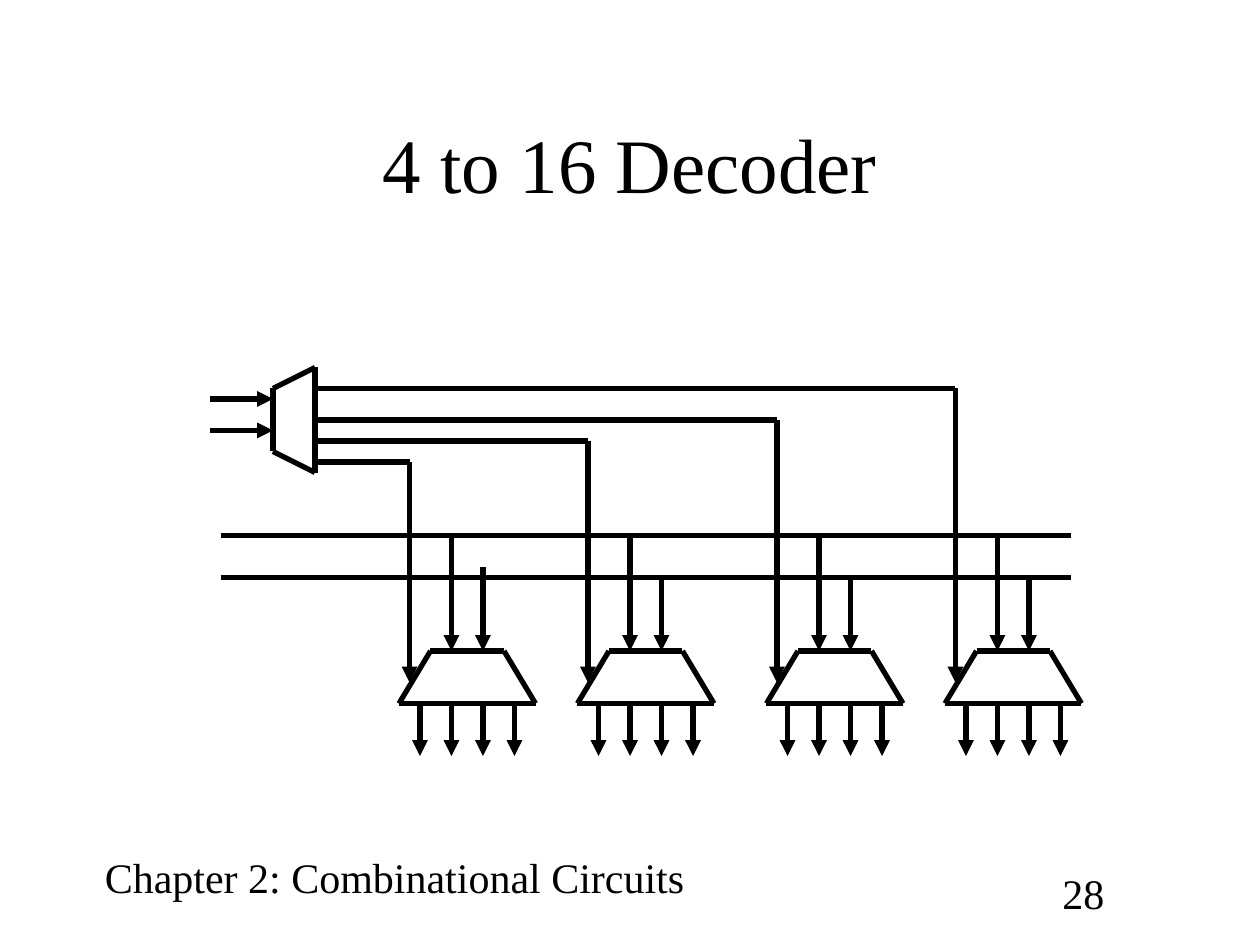
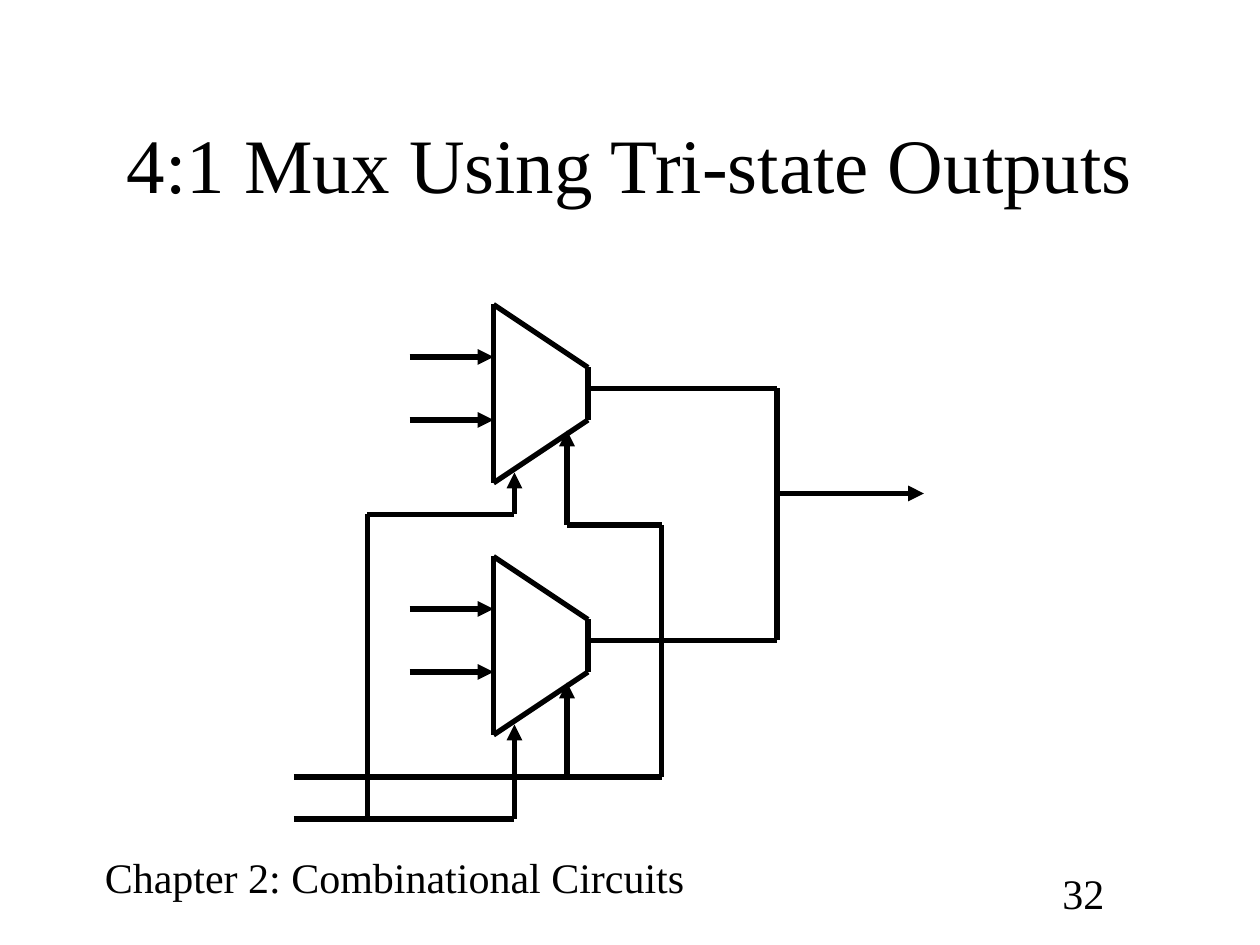
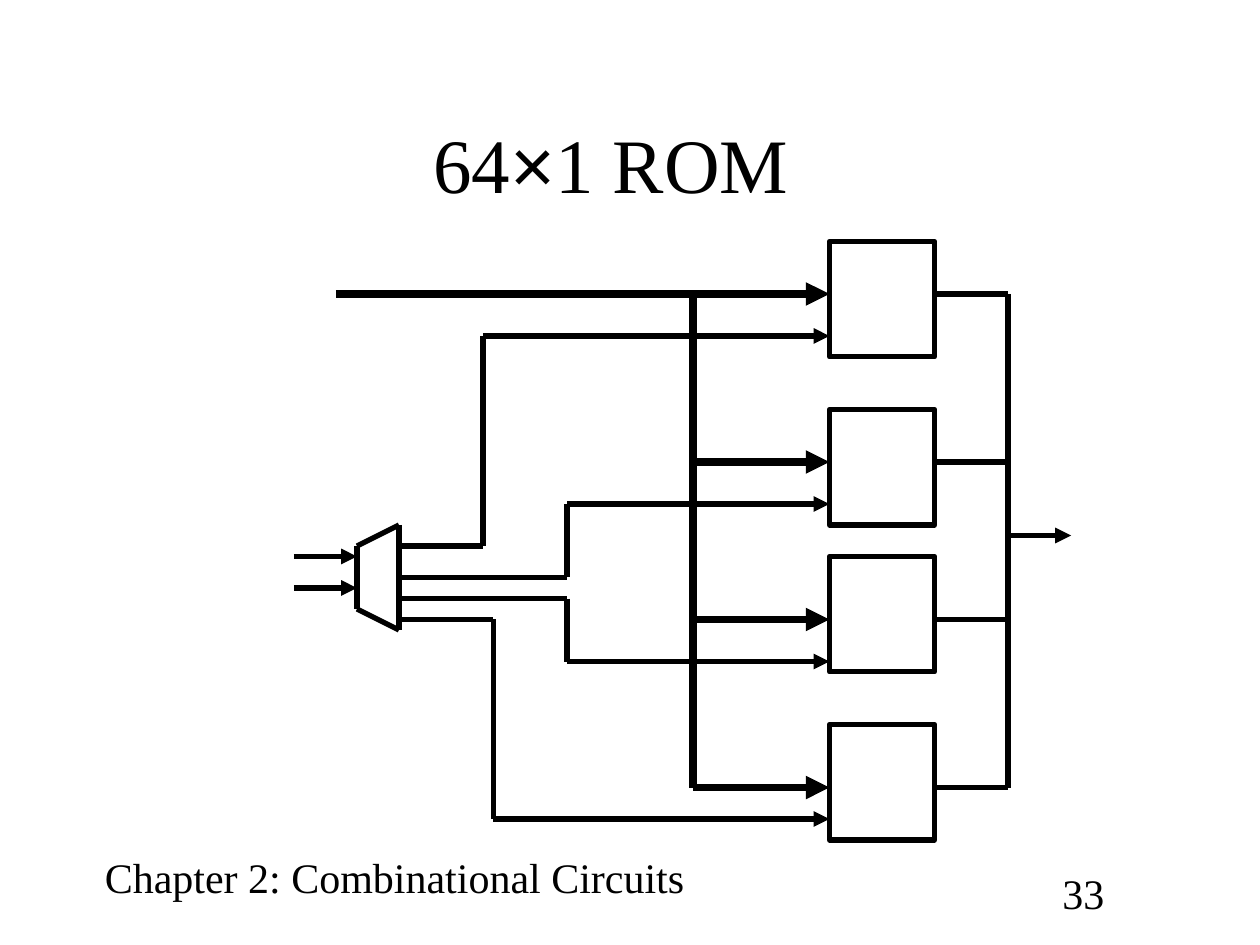
import pptx
import pptx.dml.color
import pptx.enum.shapes
import pptx.enum.text
import pptx.oxml.ns
import pptx.util
from lxml import etree

Pt = pptx.util.Pt
COLORS = {"ink": "000000"}
INK = pptx.dml.color.RGBColor.from_string(COLORS["ink"])
TEXT_FONT = "Times New Roman"
SYMBOL_FONT = "Arial"
WIRE_WEIGHT = 3
BUS_WEIGHT = 4.5
TITLES = [
    ("4 to 16 Decoder", "28"),
    ("4:1 Mux Using Tri-state Outputs", "32"),
    ("64×1 ROM", "33"),
]


def write_text(shape, text, size=24, align="LEFT", anchor="TOP", margin_right=7.2):
    """Fill a shape with one paragraph, setting any × in the symbol font."""
    frame = shape.text_frame
    frame.word_wrap = True
    frame.auto_size = pptx.enum.text.MSO_AUTO_SIZE.NONE
    frame.vertical_anchor = pptx.enum.text.MSO_ANCHOR[anchor]
    frame.margin_left, frame.margin_right = Pt(7.2), Pt(margin_right)
    frame.margin_top = frame.margin_bottom = Pt(3.6)
    paragraph = frame.paragraphs[0]
    paragraph.alignment = pptx.enum.text.PP_ALIGN[align]
    for part in text.partition("×"):
        if part:
            run = paragraph.add_run()
            run.text = part
            run.font.name = SYMBOL_FONT if part == "×" else TEXT_FONT
            run.font.size = Pt(size)
            run.font.color.rgb = INK


def draw_wire(slide, *points, arrow=False, weight=WIRE_WEIGHT):
    """Join the points with straight lines; an arrow goes on the last one."""
    for start, end in zip(points, points[1:]):
        line = slide.shapes.add_connector(
            pptx.enum.shapes.MSO_CONNECTOR.STRAIGHT,
            Pt(start[0]), Pt(start[1]), Pt(end[0]), Pt(end[1]))
        line.line.color.rgb = INK
        line.line.width = Pt(weight)
        properties = line._element.spPr
        etree.SubElement(properties, pptx.oxml.ns.qn("a:effectLst"))
    if arrow:
        outline = properties.find(pptx.oxml.ns.qn("a:ln"))
        etree.SubElement(outline, pptx.oxml.ns.qn("a:tailEnd"), type="triangle")


presentation = pptx.Presentation()
presentation.slide_width, presentation.slide_height = Pt(720), Pt(540)

# Titles and footers
slides = []
for title_text, page_number in TITLES:
    slide = presentation.slides.add_slide(presentation.slide_layouts[5])
    slides.append(slide)
    title = slide.shapes.title
    title.left, title.top, title.width, title.height = Pt(54), Pt(48), Pt(612), Pt(90)
    # The ROM title sits a little left of centre.
    write_text(title, title_text, size=44, align="CENTER", anchor="MIDDLE",
               margin_right=29.2 if "ROM" in title_text else 7.2)
    chapter = slide.shapes.add_textbox(Pt(52.8), Pt(483), Pt(351), Pt(36))
    write_text(chapter, "Chapter 2: Combinational Circuits")
    number = slide.shapes.add_textbox(Pt(600), Pt(492), Pt(66), Pt(36))
    write_text(number, page_number)
decoder_slide, mux_slide, rom_slide = slides

# The 2 to 4 decoder on the first and last slides
for slide, left, top in [(decoder_slide, 156, 210), (rom_slide, 204, 300)]:
    draw_wire(slide, (left, top + 12), (left + 24, top), (left + 24, top + 60),
              (left, top + 48), (left, top + 12))
    for y in (top + 18, top + 36):
        draw_wire(slide, (left - 36, y), (left, y), arrow=True)

# 4 to 16 decoder: four output decoders fed by two shared buses
upper_bus, lower_bus = 306, 330
for y in (upper_bus, lower_bus):
    draw_wire(decoder_slide, (126, y), (612, y))
for left, select_y, lower_tap in [
    (228, 264, 324), (330, 252, lower_bus), (438, 240, lower_bus), (540, 222, lower_bus),
]:
    draw_wire(decoder_slide, (left + 18, 372), (left + 60, 372), (left + 78, 402),
              (left, 402), (left + 18, 372))
    draw_wire(decoder_slide, (left + 30, upper_bus), (left + 30, 372), arrow=True)
    draw_wire(decoder_slide, (left + 48, lower_tap), (left + 48, 372), arrow=True)
    for output in range(4):
        x = left + 12 + 18 * output
        draw_wire(decoder_slide, (x, 402), (x, 432), arrow=True)
    draw_wire(decoder_slide, (180, select_y), (left + 6, select_y), (left + 6, 390), arrow=True)

# 4:1 mux: two tri-state muxes joined at one output
for top in (174, 318):
    draw_wire(mux_slide, (282, top), (336, top + 36), (336, top + 66),
              (282, top + 102), (282, top))
    for y in (top + 30, top + 66):
        draw_wire(mux_slide, (234, y), (282, y), arrow=True)
    draw_wire(mux_slide, (336, top + 48), (444, top + 48))
    draw_wire(mux_slide, (324, top + 126), (324, top + 72), arrow=True)
draw_wire(mux_slide, (444, 222), (444, 366))
draw_wire(mux_slide, (444, 282), (528, 282), arrow=True)
draw_wire(mux_slide, (168, 444), (378, 444), (378, 300), (324, 300))
draw_wire(mux_slide, (168, 468), (294, 468), (294, 414), arrow=True)
draw_wire(mux_slide, (210, 468), (210, 294), (294, 294), (294, 270), arrow=True)

# 64×1 ROM: four memory blocks on one address bus
rom_left, rom_right, bus_x, output_x = 474, 534, 396, 576
draw_wire(rom_slide, (192, 168), (bus_x, 168), (bus_x, 450), weight=BUS_WEIGHT)
for top, address_y, enable_y, decoder_y, corner_x in [
    (138, 168, 192, 312, 276),
    (234, 264, 288, 330, 324),
    (318, 354, 378, 342, 324),
    (414, 450, 468, 354, 282),
]:
    rom = rom_slide.shapes.add_shape(
        pptx.enum.shapes.MSO_SHAPE.RECTANGLE,
        Pt(rom_left), Pt(top), Pt(rom_right - rom_left), Pt(66))
    rom.shadow.inherit = False
    rom.fill.background()
    rom.line.color.rgb = INK
    rom.line.width = Pt(WIRE_WEIGHT)
    draw_wire(rom_slide, (bus_x, address_y), (rom_left, address_y),
              arrow=True, weight=BUS_WEIGHT)
    draw_wire(rom_slide, (228, decoder_y), (corner_x, decoder_y),
              (corner_x, enable_y), (rom_left, enable_y), arrow=True)
    draw_wire(rom_slide, (rom_right, address_y), (output_x, address_y))
draw_wire(rom_slide, (output_x, 168), (output_x, 450))
draw_wire(rom_slide, (output_x, 306), (612, 306), arrow=True)

presentation.save("out.pptx")
